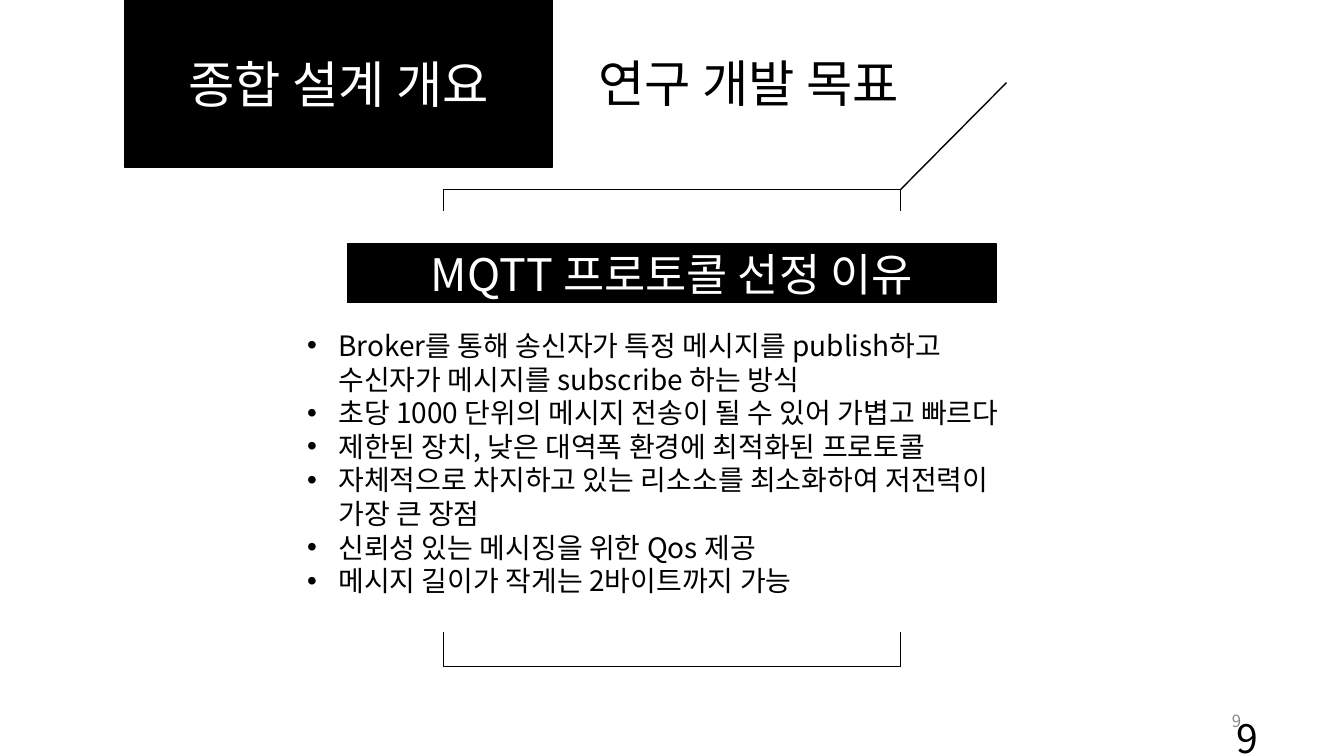
from dataclasses import dataclass

import pptx
import pptx.dml.color
import pptx.enum.shapes
import pptx.enum.text
import pptx.oxml
import pptx.oxml.ns
import pptx.util
from lxml import etree

SLIDE_WIDTH = pptx.util.Inches(13.34)
SLIDE_HEIGHT = pptx.util.Inches(7.5)
FONT = "Noto Sans CJK KR"
BLACK, WHITE, GREY = "000000", "FFFFFF", "898989"
LEFT = pptx.enum.text.PP_ALIGN.LEFT
CENTER = pptx.enum.text.PP_ALIGN.CENTER
RIGHT = pptx.enum.text.PP_ALIGN.RIGHT
TOP = pptx.enum.text.MSO_ANCHOR.TOP
MIDDLE = pptx.enum.text.MSO_ANCHOR.MIDDLE
BULLET_INDENT = pptx.util.Inches(0.31)


@dataclass(frozen=True)
class Area:
    """Place on the slide, in percent of its width and height."""
    left: float
    top: float
    width: float
    height: float

    def emu(self) -> tuple[int, int, int, int]:
        return across(self.left), down(self.top), across(self.width), down(self.height)


@dataclass(frozen=True)
class Panel:
    area: Area
    fill: str
    line: str = BLACK
    text: str = ""
    size: int = 36


@dataclass(frozen=True)
class Label:
    area: Area
    text: str
    size: int
    color: str = BLACK
    align: int = LEFT
    anchor: int = TOP


@dataclass(frozen=True)
class Reason:
    text: str
    bullet: bool = True


FRAME = Area(32.98, 25.07, 34.03, 63.07)

# The white panel hides the middle of the frame, leaving brackets
PANELS = [
    Panel(FRAME, WHITE),
    Panel(Area(24.29, 28, 58.62, 55.47), WHITE, line=WHITE),
    Panel(Area(9.3, 0, 31.78, 22.13), BLACK, text="종합 설계 개요"),
    Panel(Area(25.86, 32.27, 48.28, 7.73), BLACK, text="MQTT 프로토콜 선정 이유", size=32),
]

LABELS = [
    Label(Area(43.78, 6.27, 26.84, 9.47), "연구 개발 목표", 36),
    Label(Area(70.61, 92.67, 22.49, 5.33), "9", 12, GREY, RIGHT, MIDDLE),
    Label(Area(71.89, 94.93, 22.49, 5.33), "9", 28, BLACK, RIGHT, MIDDLE),
]

REASONS_AREA = Area(22.11, 42.8, 55.85, 53.2)
REASONS = [
    Reason("Broker를 통해 송신자가 특정 메시지를 publish하고"),
    Reason("수신자가 메시지를 subscribe 하는 방식", bullet=False),
    Reason("초당 1000 단위의 메시지 전송이 될 수 있어 가볍고 빠르다"),
    Reason("제한된 장치, 낮은 대역폭 환경에 최적화된 프로토콜"),
    Reason("자체적으로 차지하고 있는 리소소를 최소화하여 저전력이"),
    Reason("가장 큰 장점", bullet=False),
    Reason("신뢰성 있는 메시징을 위한 Qos 제공"),
    Reason("메시지 길이가 작게는 2바이트까지 가능"),
]


def across(percent: float) -> int:
    return round(SLIDE_WIDTH * percent / 100)


def down(percent: float) -> int:
    return round(SLIDE_HEIGHT * percent / 100)


def rgb(color: str) -> pptx.dml.color.RGBColor:
    return pptx.dml.color.RGBColor.from_string(color)


def write(paragraph, text: str, *, size: int, color: str = BLACK, align: int = LEFT) -> None:
    paragraph.alignment = align
    run = paragraph.add_run()
    run.text = text
    run.font.size = pptx.util.Pt(size)
    run.font.name = FONT
    run.font.color.rgb = rgb(color)
    east_asian = etree.SubElement(run.font._element, pptx.oxml.ns.qn("a:ea"))
    east_asian.set("typeface", FONT)


def draw_panel(slide, panel: Panel) -> None:
    rectangle = slide.shapes.add_shape(
        pptx.enum.shapes.MSO_SHAPE.RECTANGLE, *panel.area.emu())
    rectangle.shadow.inherit = False
    rectangle.fill.solid()
    rectangle.fill.fore_color.rgb = rgb(panel.fill)
    rectangle.line.color.rgb = rgb(panel.line)
    rectangle.line.width = pptx.util.Pt(1)
    if panel.text:
        rectangle.text_frame.vertical_anchor = MIDDLE
        write(rectangle.text_frame.paragraphs[0], panel.text,
              size=panel.size, color=WHITE, align=CENTER)


def add_text_frame(slide, area: Area, anchor: int = TOP):
    frame = slide.shapes.add_textbox(*area.emu()).text_frame
    frame.word_wrap = True
    frame.vertical_anchor = anchor
    return frame


def draw_label(slide, label: Label) -> None:
    frame = add_text_frame(slide, label.area, label.anchor)
    write(frame.paragraphs[0], label.text,
          size=label.size, color=label.color, align=label.align)


def draw_reasons(slide, area: Area, reasons: list[Reason]) -> None:
    frame = add_text_frame(slide, area)
    for index, reason in enumerate(reasons):
        paragraph = frame.add_paragraph() if index else frame.paragraphs[0]
        write(paragraph, reason.text, size=20)
        properties = paragraph._p.get_or_add_pPr()
        properties.set("marL", str(BULLET_INDENT))
        properties.set("indent", str(-BULLET_INDENT if reason.bullet else 0))
        if reason.bullet:
            font = etree.SubElement(properties, pptx.oxml.ns.qn("a:buFont"))
            font.set("typeface", "Arial")
            mark = etree.SubElement(properties, pptx.oxml.ns.qn("a:buChar"))
            mark.set("char", "•")
        else:
            etree.SubElement(properties, pptx.oxml.ns.qn("a:buNone"))


def draw_pointer(slide, start: tuple[float, float], end: tuple[float, float]) -> None:
    pointer = slide.shapes.add_connector(
        pptx.enum.shapes.MSO_CONNECTOR.STRAIGHT,
        across(start[0]), down(start[1]), across(end[0]), down(end[1]))
    pointer.line.color.rgb = rgb(BLACK)
    pointer.line.width = pptx.util.Pt(1)
    etree.SubElement(pointer._element.spPr, pptx.oxml.ns.qn("a:effectLst"))


def main() -> None:
    deck = pptx.Presentation()
    deck.slide_width, deck.slide_height = SLIDE_WIDTH, SLIDE_HEIGHT
    slide = deck.slides.add_slide(deck.slide_layouts[6])

    # Bracket frame, section tab and banner
    for panel in PANELS:
        draw_panel(slide, panel)

    # Pointer from the bracket corner towards the heading
    draw_pointer(slide, (FRAME.left + FRAME.width, FRAME.top), (74.89, 10.93))

    # Reasons, heading and page numbers
    draw_reasons(slide, REASONS_AREA, REASONS)
    for label in LABELS:
        draw_label(slide, label)

    deck.save("out.pptx")


if __name__ == "__main__":
    main()
